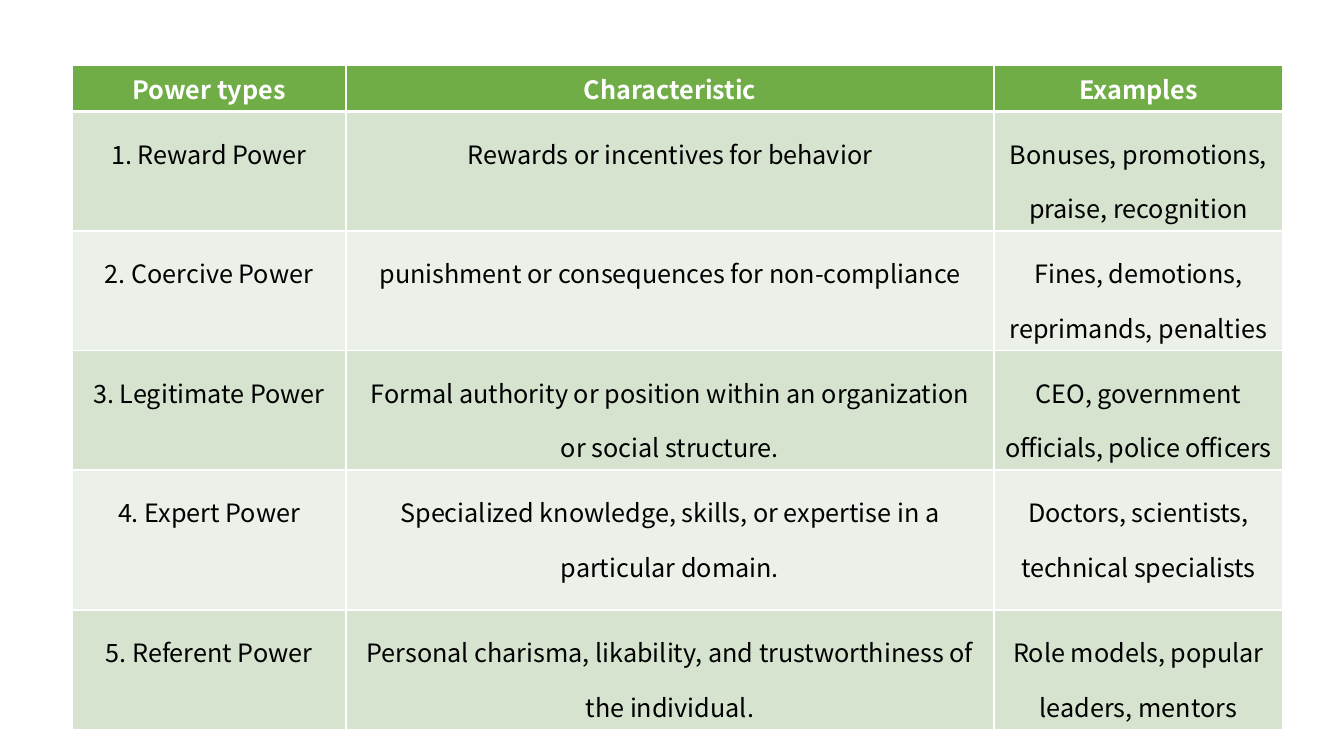
from dataclasses import dataclass

from lxml.etree import SubElement
from pptx import Presentation
from pptx.dml.color import RGBColor as RGB
from pptx.enum.text import PP_ALIGN as Align
from pptx.oxml.ns import qn
from pptx.util import Emu, Pt


@dataclass(frozen=True)
class Theme:
    font: str = "Noto Sans CJK JP"
    text_size: int = 18
    header_fill: str = "70AD47"
    band_fills: tuple = ("D5E3CF", "EBF1E9")
    header_text: str = "FFFFFF"
    body_text: str = "000000"
    rule: str = "FFFFFF"
    thin_rule: int = 1
    thick_rule: int = 3
    body_spacing: float = 1.5


THEME = Theme()
PX_PER_INCH = 100.8

HEADINGS = ("Power types", "Characteristic", "Examples")
POWERS = (
    ("1. Reward Power", "Rewards or incentives for behavior",
     "Bonuses, promotions, praise, recognition"),
    ("2. Coercive Power", "punishment or consequences for non-compliance",
     "Fines, demotions, reprimands, penalties"),
    ("3. Legitimate Power",
     "Formal authority or position within an organization or social structure.",
     "CEO, government officials, police officers"),
    ("4. Expert Power",
     "Specialized knowledge, skills, or expertise in a particular domain.",
     "Doctors, scientists, technical specialists"),
    ("5. Referent Power",
     "Personal charisma, likability, and trustworthiness of the individual.",
     "Role models, popular leaders, mentors"),
)
COLUMN_WIDTHS = (274, 648, 289)
ROW_HEIGHTS = (43, 107, 110, 108, 140, 43)


def px(length):
    return Emu(round(length * 914400 / PX_PER_INCH))


def set_borders(cell, top, bottom):
    """Rule all four sides; top and bottom are widths in points."""
    properties = cell._tc.get_or_add_tcPr()
    widths = {"L": THEME.thin_rule, "R": THEME.thin_rule, "T": top, "B": bottom}
    for side, width in widths.items():
        rule = SubElement(properties, qn(f"a:ln{side}"), w=str(Pt(width)))
        color = SubElement(SubElement(rule, qn("a:solidFill")), qn("a:srgbClr"))
        color.set("val", THEME.rule)


def set_text(cell, wording, color, bold, spacing):
    cell.text_frame.text = wording
    paragraph = cell.text_frame.paragraphs[0]
    paragraph.alignment = Align.CENTER
    paragraph.line_spacing = spacing
    font = paragraph.runs[0].font
    font.name, font.size, font.bold = THEME.font, Pt(THEME.text_size), bold
    font.color.rgb = RGB.from_string(color)


def style_cell(cell, wording, row):
    is_header = row == 0
    # Borders come before the fill in the cell properties
    set_borders(cell,
                top=THEME.thick_rule if row == 1 else THEME.thin_rule,
                bottom=THEME.thick_rule if is_header else THEME.thin_rule)
    fill = THEME.header_fill if is_header else THEME.band_fills[(row - 1) % 2]
    cell.fill.solid()
    cell.fill.fore_color.rgb = RGB.from_string(fill)
    set_text(cell, wording,
             color=THEME.header_text if is_header else THEME.body_text,
             bold=is_header,
             spacing=None if is_header else THEME.body_spacing)


def add_power_table(slide, left, top):
    rows = (HEADINGS, *POWERS)
    powers = slide.shapes.add_table(
        len(rows), len(HEADINGS), px(left), px(top),
        px(sum(COLUMN_WIDTHS)), px(sum(ROW_HEIGHTS))).table
    for column, width in zip(powers.columns, COLUMN_WIDTHS):
        column.width = px(width)
    for row, (wordings, height) in enumerate(zip(rows, ROW_HEIGHTS)):
        powers.rows[row].height = px(height)
        for column, wording in enumerate(wordings):
            style_cell(powers.cell(row, column), wording, row)


def main():
    # Slide
    deck = Presentation()
    deck.slide_width, deck.slide_height = px(1344), px(756)
    slide = deck.slides.add_slide(deck.slide_layouts[6])

    # Table of power types
    add_power_table(slide, left=72, top=65)

    deck.save("out.pptx")


if __name__ == "__main__":
    main()
